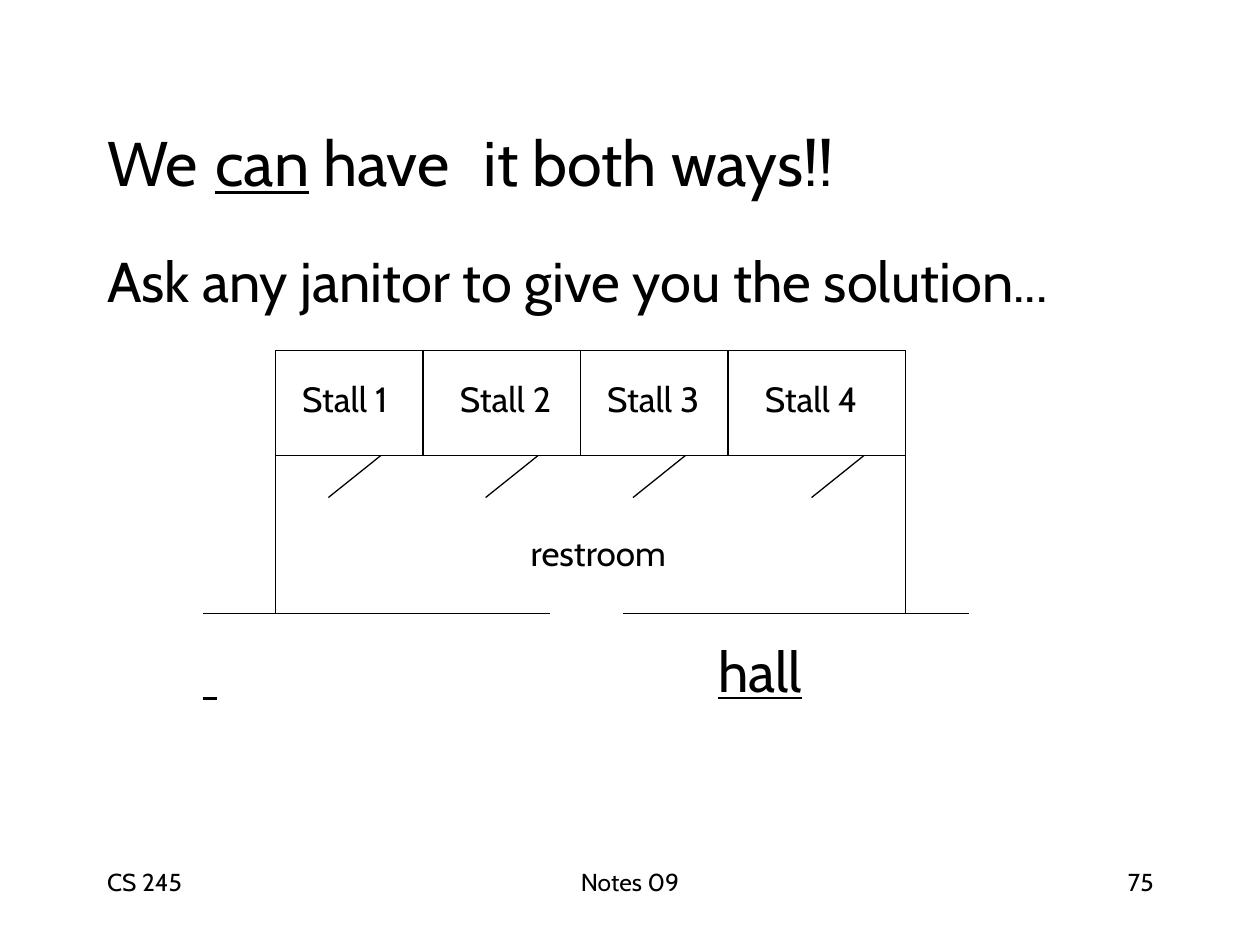
from itertools import accumulate

from lxml import etree
from pptx import Presentation
from pptx.dml.color import RGBColor
from pptx.enum.shapes import MSO_CONNECTOR, MSO_SHAPE
from pptx.enum.text import MSO_ANCHOR, MSO_AUTO_SIZE, PP_ALIGN
from pptx.oxml.ns import qn
from pptx.util import Cm, Pt

BLACK = RGBColor(0, 0, 0)
STRAIGHT = MSO_CONNECTOR.STRAIGHT
RECTANGLE = MSO_SHAPE.RECTANGLE
LEFT = PP_ALIGN.LEFT
TOP = MSO_ANCHOR.TOP
NO_AUTOFIT = MSO_AUTO_SIZE.NONE
TITLE_ONLY = 5


class SlideBuilder:
    """Holds the style and the slide being drawn."""

    font = "Cabin"
    ink = BLACK
    line_width = Pt(0.75)

    def __init__(self, slide):
        self.slide = slide

    def fill_text(self, shape, runs, size, inset=(0.03, 0.03), tabs=()):
        """Fill a shape with one paragraph of (text, format) runs; tabs are in cm."""
        frame = shape.text_frame
        frame_format = {
            "margin_left": Cm(inset[0]), "margin_top": Cm(inset[1]),
            "margin_right": 0, "margin_bottom": 0,
            "word_wrap": True, "auto_size": NO_AUTOFIT, "vertical_anchor": TOP,
        }
        for name, value in frame_format.items():
            setattr(frame, name, value)
        paragraph = frame.paragraphs[0]
        paragraph.alignment = LEFT
        if tabs:
            tab_list = etree.SubElement(paragraph._p.get_or_add_pPr(), qn("a:tabLst"))
            for position in tabs:
                etree.SubElement(tab_list, qn("a:tab"), pos=str(Cm(position)), algn="l")
        for text, run_format in runs:
            run = paragraph.add_run()
            run.text = text
            font_format = {"name": self.font, "size": Pt(size), **run_format}
            for name, value in font_format.items():
                setattr(run.font, name, value)
            run.font.color.rgb = self.ink

    def title(self, box, runs, size, **layout):
        heading = self.slide.shapes.title
        for name, value in zip(("left", "top", "width", "height"), box):
            setattr(heading, name, Cm(value))
        self.fill_text(heading, runs, size, **layout)

    def text(self, box, runs, size, **layout):
        self.fill_text(self.slide.shapes.add_textbox(*map(Cm, box)), runs, size, **layout)

    def room(self, box, label, size, inset):
        room = self.slide.shapes.add_shape(RECTANGLE, *map(Cm, box))
        room.shadow.inherit = False
        room.fill.background()
        room.line.color.rgb = self.ink
        room.line.width = self.line_width
        self.fill_text(room, [(label, {})], size, inset=inset)

    def line(self, x1, y1, x2, y2):
        line = self.slide.shapes.add_connector(STRAIGHT, *map(Cm, (x1, y1, x2, y2)))
        line.line.color.rgb = self.ink
        line.line.width = self.line_width
        etree.SubElement(line._element.spPr, qn("a:effectLst"))


def draw_floor_plan(builder):
    west, east, north, hall_wall = 5.56, 18.26, 7.06, 12.37
    stall_depth = 2.12
    stall_front = north + stall_depth

    for start in (4.09, 12.55):
        builder.line(start, hall_wall, start + 6.99, hall_wall)
    for side in (west, east):
        builder.line(side, north, side, hall_wall)
    builder.line(west, north, east, north)
    for start in (7.47, 10.64, 13.82):
        builder.line(start, stall_front, start + 1.9, stall_front)
    for hinge in (7.68, 10.85, 13.82, 17.42):
        builder.line(hinge, stall_front, hinge - 1.06, stall_front + 0.85)

    stall_widths = (2.97, 3.18, 2.97, 3.58)
    label_indents = (0.53, 0.74, 0.53, 0.74)
    stall_lefts = accumulate(stall_widths, initial=west)
    stalls = zip(stall_lefts, stall_widths, label_indents)
    for number, (left, width, indent) in enumerate(stalls, 1):
        builder.room((left, north, width, stall_depth), f"Stall {number}", 20,
                     inset=(indent, 0.56))

    builder.text((10.67, 10.69, 3, 0.91), [("restroom", {})], 20)
    underlined = {"underline": True}
    builder.text((4.06, 12.8, 15.52, 1.42),
                 [(" \t", {**underlined, "name": "Times New Roman"}),
                  ("hall", underlined)], 32, tabs=(10.39,))


def main():
    deck = Presentation()
    deck.slide_width, deck.slide_height = Cm(25.4), Cm(19.05)
    builder = SlideBuilder(deck.slides.add_slide(deck.slide_layouts[TITLE_ONLY]))

    builder.title((2.13, 2.46, 15.32, 1.6),
                  [("We\t", {}), ("can", {"underline": True}),
                   (" have\tit both ways!!", {})], 36, tabs=(2.18, 7.59))
    builder.text((2.13, 4.95, 20.6, 1.42),
                 [("Ask any janitor to give you the solution...", {})], 32)
    draw_floor_plan(builder)

    for left, width, label in ((2.13, 1.7, "CS 245"), (11.68, 2.1, "Notes 09"),
                               (22.71, 0.8, "75")):
        builder.text((left, 17.45, width, 0.66), [(label, {})], 14)
    deck.save("out.pptx")


if __name__ == "__main__":
    main()
